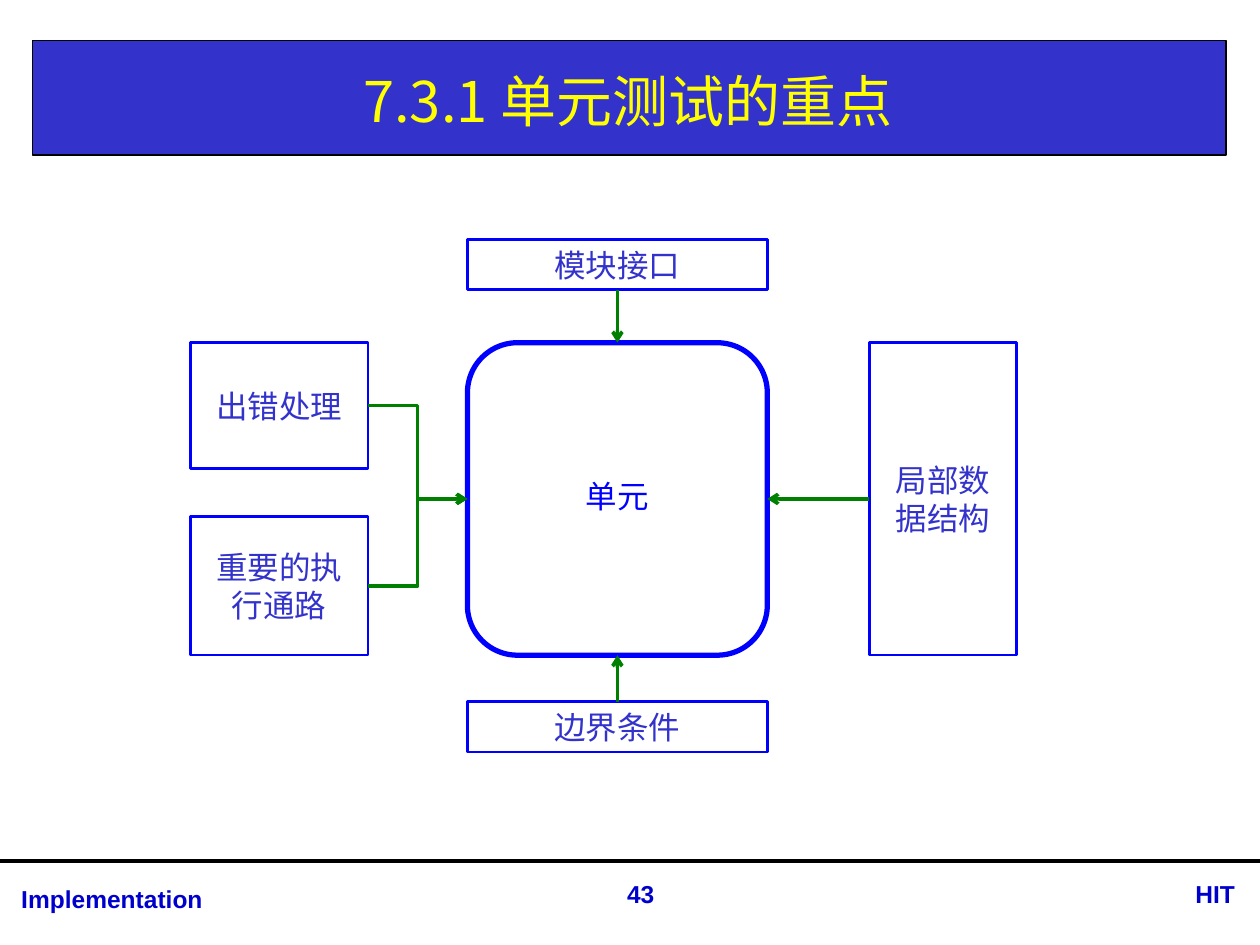
from lxml import etree
from pptx import Presentation
from pptx.dml.color import RGBColor
from pptx.enum.shapes import MSO_CONNECTOR as CONN, MSO_SHAPE as SHAPE
from pptx.enum.text import MSO_ANCHOR as ANCHOR, MSO_AUTO_SIZE as AUTO, PP_ALIGN as ALIGN
from pptx.oxml.ns import qn
from pptx.util import Inches, Pt

BLACK = RGBColor(0x00, 0x00, 0x00)
WHITE = RGBColor(0xFF, 0xFF, 0xFF)
YELLOW = RGBColor(0xFF, 0xFF, 0x00)
INDIGO = RGBColor(0x33, 0x33, 0xCC)
BLUE = RGBColor(0x00, 0x00, 0xFF)
NAVY = RGBColor(0x00, 0x00, 0xCC)
GREEN = RGBColor(0x00, 0x80, 0x00)
CJK = "Noto Sans CJK SC"
TOP, LEFT, BOTTOM, RIGHT = range(4)


def set_text(sp, text, size, color, font=CJK, align=ALIGN.CENTER, bold=False):
    """Write one formatted paragraph and return it."""
    tf = sp.text_frame
    tf.word_wrap = True
    tf.text = text
    p = tf.paragraphs[0]
    p.alignment = align
    r = p.runs[0]
    r.font.size = Pt(size)
    r.font.bold = bold
    r.font.color.rgb = color
    r.font.name = font
    etree.SubElement(r.font._element, qn("a:ea")).set("typeface", font)
    return p


def add_box(s, kind, box, line, width, fill=None, alpha=None):
    """Add an outlined shape with an optional, partly transparent fill."""
    sp = s.shapes.add_shape(kind, *map(Inches, box))
    sp.shadow.inherit = False
    sp.line.color.rgb = line
    sp.line.width = Pt(width)
    if fill is None:
        sp.fill.background()
    else:
        sp.fill.solid()
        sp.fill.fore_color.rgb = fill
    if alpha:
        color = sp._element.spPr.find(qn("a:solidFill"))[0]
        etree.SubElement(color, qn("a:alpha")).set("val", str(alpha * 1000))
    sp.text_frame.vertical_anchor = ANCHOR.MIDDLE
    return sp


def add_topic(s, text, box):
    """Add a labelled rectangle for one focus of the unit test."""
    sp = add_box(s, SHAPE.RECTANGLE, box, BLUE, 1.5, WHITE, 60)
    set_text(sp, text, 18, INDIGO)
    return sp


def add_line(s, kind, color, width, ends=(0, 0, 0, 0)):
    """Add a connector without shadow."""
    c = s.shapes.add_connector(kind, *map(Inches, ends))
    c.line.color.rgb = color
    c.line.width = Pt(width)
    etree.SubElement(c._element.spPr, qn("a:effectLst"))
    return c


def add_arrow(s, kind, source, source_side, target, target_side):
    """Join two shapes with a green arrow."""
    c = add_line(s, kind, GREEN, 2)
    c.begin_connect(source, source_side)
    c.end_connect(target, target_side)
    etree.SubElement(c.line._get_or_add_ln(), qn("a:tailEnd")).set("type", "arrow")


def add_title(s, text):
    """Place the title over its coloured bar."""
    bar = add_box(s, SHAPE.RECTANGLE, (0.26, 0.32, 9.47, 0.91), BLACK, 0.75, INDIGO)
    s.shapes._spTree.insert(2, bar._element)
    title = s.shapes.title
    title.left, title.top, title.width, title.height = map(Inches, (0.26, 0.36, 9.45, 0.87))
    set_text(title, text, 32, YELLOW)
    title.text_frame.auto_size = AUTO.NONE
    title.text_frame.vertical_anchor = ANCHOR.MIDDLE


def add_footer(s):
    """Add the rule and the three footer texts."""
    add_line(s, CONN.STRAIGHT, BLACK, 2.25, (0, 6.83, 10, 6.83))
    for text, x, y, w, align in (
        ("Implementation", 0.07, 6.97, 3.85, ALIGN.LEFT),
        ("HIT", 8.87, 6.93, 1.03, ALIGN.RIGHT),
        ("43", 4.57, 6.93, 1.03, ALIGN.CENTER),
    ):
        sp = s.shapes.add_textbox(*map(Inches, (x, y, w, 0.34)))
        set_text(sp, text, 14, NAVY, "Arial", align, True)


def add_diagram(s):
    """Add the unit, the topics around it and the arrows between them."""
    x, y, w, h = 3.71, 2.72, 2.38, 2.48
    unit = add_box(s, SHAPE.ROUNDED_RECTANGLE, (x, y, w, h), BLUE, 3)
    set_text(unit, "单元", 18, BLUE).line_spacing = 0.8
    for text, box, kind, source_side, target_side in (
        ("出错处理", (1.51, y, 1.41, 1), CONN.ELBOW, RIGHT, LEFT),
        ("重要的执行通路", (1.51, 4.1, 1.41, 1.1), CONN.ELBOW, RIGHT, LEFT),
        ("模块接口", (x, 1.9, w, 0.4), CONN.STRAIGHT, BOTTOM, TOP),
        ("局部数据结构", (6.9, y, 1.17, h), CONN.STRAIGHT, LEFT, RIGHT),
        ("边界条件", (x, 5.57, w, 0.4), CONN.STRAIGHT, TOP, BOTTOM),
    ):
        topic = add_topic(s, text, box)
        add_arrow(s, kind, topic, source_side, unit, target_side)


def main():
    """Build and save the slide."""
    prs = Presentation()
    prs.slide_width, prs.slide_height = Inches(10), Inches(7.5)
    s = prs.slides.add_slide(prs.slide_layouts[5])
    add_title(s, "7.3.1 单元测试的重点")
    add_footer(s)
    add_diagram(s)
    prs.save("out.pptx")


if __name__ == "__main__":
    main()
